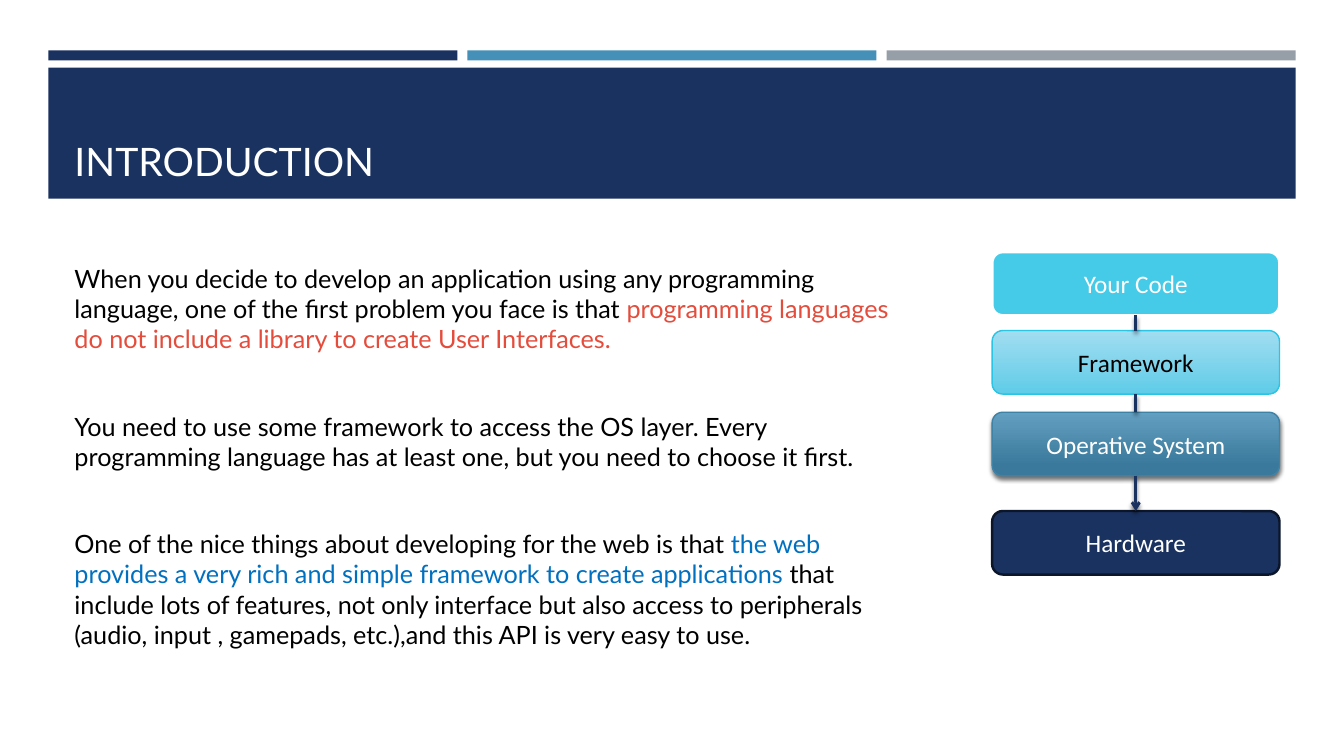
from lxml import etree
from pptx import Presentation
from pptx.dml.color import RGBColor
from pptx.enum.shapes import MSO_CONNECTOR, MSO_SHAPE
from pptx.enum.text import MSO_ANCHOR, PP_ALIGN
from pptx.oxml import parse_xml
from pptx.oxml.ns import qn
from pptx.util import Inches, Pt

RECT = MSO_SHAPE.RECTANGLE
LAYER = MSO_SHAPE.FLOWCHART_ALTERNATE_PROCESS
STRAIGHT = MSO_CONNECTOR.STRAIGHT
TOP, MIDDLE, BOTTOM = MSO_ANCHOR.TOP, MSO_ANCHOR.MIDDLE, MSO_ANCHOR.BOTTOM
CENTER = PP_ALIGN.CENTER

COLORS = {
    "navy": "1A3260", "blue": "4590B8", "gray": "969FA7", "white": "FFFFFF",
    "black": "000000", "red": "E44C3C", "link": "0070C0", "cyan": "45CBE8",
    "cyan_line": "2AC4E5", "cyan_light": "A2DDF0", "cyan_deep": "5FCCE8",
    "steel_light": "639FC1", "steel_deep": "3A799B", "steel_line": "3E82A6",
    "night": "0B162A",
}

PARAGRAPHS = [
    [("When you decide to develop an application using any programming language, "
      "one of the first problem you face is that ", "black"),
     ("programming languages do not include a library to create User Interfaces.", "red")],
    [("You need to use some framework to access the OS layer. Every programming "
      "language has at least one, but you need to choose it first.", "black")],
    [("One of the nice things about developing for the web is that ", "black"),
     ("the web provides a very rich and simple framework to create applications ", "link"),
     ("that include lots of features, not only interface but also access to peripherals "
      "(audio, input , gamepads, etc.),and this API is very easy to use.", "black")],
]

# label, top offset, fill stops (colour, position), line colour, line width, text colour, shadow
LAYERS = [
    ("Your Code", 0, [("cyan", 0)], "white", 2, "white", False),
    ("Framework", 0.78, [("cyan_light", 0), ("cyan_deep", 1)], "cyan_line", 1, "black", False),
    ("Operative System", 1.59, [("steel_light", 0), ("steel_deep", 0.84)],
     "steel_line", 1, "white", True),
    ("Hardware", 2.57, [("navy", 0)], "night", 1.75, "white", False),
]

SHADOW = (
    '<a:effectLst xmlns:a="http://schemas.openxmlformats.org/drawingml/2006/main">'
    '<a:outerShdw blurRad="38100" dist="25400" dir="5400000" rotWithShape="0">'
    '<a:srgbClr val="000000"><a:alpha val="55000"/></a:srgbClr>'
    '</a:outerShdw></a:effectLst>'
)


def rgb(name):
    """Return the named colour."""
    return RGBColor.from_string(COLORS[name])


def add_bar(s, x, y, w, h, color):
    """Add a plain filled rectangle."""
    sp = s.shapes.add_shape(RECT, Inches(x), Inches(y), Inches(w), Inches(h))
    sp.shadow.inherit = False
    sp.fill.solid()
    sp.fill.fore_color.rgb = rgb(color)
    sp.line.fill.background()


def add_text(s, x, y, w, h, anchor):
    """Add an empty wrapping text box and return its frame."""
    tf = s.shapes.add_textbox(Inches(x), Inches(y), Inches(w), Inches(h)).text_frame
    tf.word_wrap = True
    tf.vertical_anchor = anchor
    return tf


def add_header(s, x, y, w, title):
    """Add the three accent bars and the title band."""
    gap = 0.1
    bar_w = (w - 2 * gap) / 3
    for i, color in enumerate(("navy", "blue", "gray")):
        add_bar(s, x + i * (bar_w + gap), y, bar_w, 0.1, color)
    add_bar(s, x, y + 0.17, w, 1.3, "navy")
    p = add_text(s, x + 0.16, y + 0.27, w - 0.31, 1.11, BOTTOM).paragraphs[0]
    p.text = title
    p.font.name, p.font.size = "Lato", Pt(28)
    p.font.color.rgb = rgb("white")


def add_body(s, x, y, w, h):
    """Add the explanatory paragraphs."""
    tf = add_text(s, x, y, w, h, TOP)
    for i, runs in enumerate(PARAGRAPHS):
        p = tf.paragraphs[0] if i == 0 else tf.add_paragraph()
        p.font.name, p.font.size = "Lato", Pt(18)
        p.space_after = Pt(40.8)
        for text, color in runs:
            r = p.add_run()
            r.text = text
            r.font.color.rgb = rgb(color)


def fill_layer(sp, stops):
    """Fill a layer with one colour or a downward gradient."""
    if len(stops) == 1:
        sp.fill.solid()
        sp.fill.fore_color.rgb = rgb(stops[0][0])
        return
    sp.fill.gradient()
    sp.fill.gradient_angle = 270
    for stop, (color, position) in zip(sp.fill.gradient_stops, stops):
        stop.color.rgb = rgb(color)
        stop.position = position


def add_layer(s, x, y, w, h, label, stops, line, line_w, color, shadow):
    """Add one labelled layer of the stack."""
    sp = s.shapes.add_shape(LAYER, Inches(x), Inches(y), Inches(w), Inches(h))
    fill_layer(sp, stops)
    sp.line.color.rgb = rgb(line)
    sp.line.width = Pt(line_w)
    if shadow:
        sp.element.spPr.append(parse_xml(SHADOW))
    else:
        sp.shadow.inherit = False
    sp.text_frame.vertical_anchor = MIDDLE
    p = sp.text_frame.paragraphs[0]
    p.text = label
    p.alignment = CENTER
    p.font.name, p.font.size = "Calibri", Pt(18)
    p.font.color.rgb = rgb(color)
    return sp


def add_link(s, upper, lower, arrow):
    """Join the bottom of one layer to the top of the next."""
    c = s.shapes.add_connector(STRAIGHT, 0, 0, 0, 0)
    c.begin_connect(upper, 2)
    c.end_connect(lower, 0)
    c.line.color.rgb = rgb("navy")
    c.line.width = Pt(2)
    spPr = c.element.spPr
    if arrow:
        etree.SubElement(spPr.find(qn("a:ln")), qn("a:tailEnd"), type="arrow")
    spPr.append(parse_xml(SHADOW))


def add_stack(s, x, y, w, h):
    """Add the software layers and the links between them."""
    boxes = [add_layer(s, x, y + dy, w, h, label, *style)
             for label, dy, *style in LAYERS]
    for upper, lower in zip(boxes, boxes[1:]):
        add_link(s, upper, lower, lower is boxes[-1])


def main():
    """Build the slide and save it."""
    prs = Presentation()
    prs.slide_width, prs.slide_height = Inches(13.33), Inches(7.5)
    s = prs.slides.add_slide(prs.slide_layouts[6])
    add_header(s, 0.48, 0.5, 12.37, "INTRODUCTION")
    add_body(s, 0.64, 2.56, 8.45, 4.48)
    add_stack(s, 9.84, 2.5, 2.85, 0.63)
    prs.save("out.pptx")


if __name__ == "__main__":
    main()
